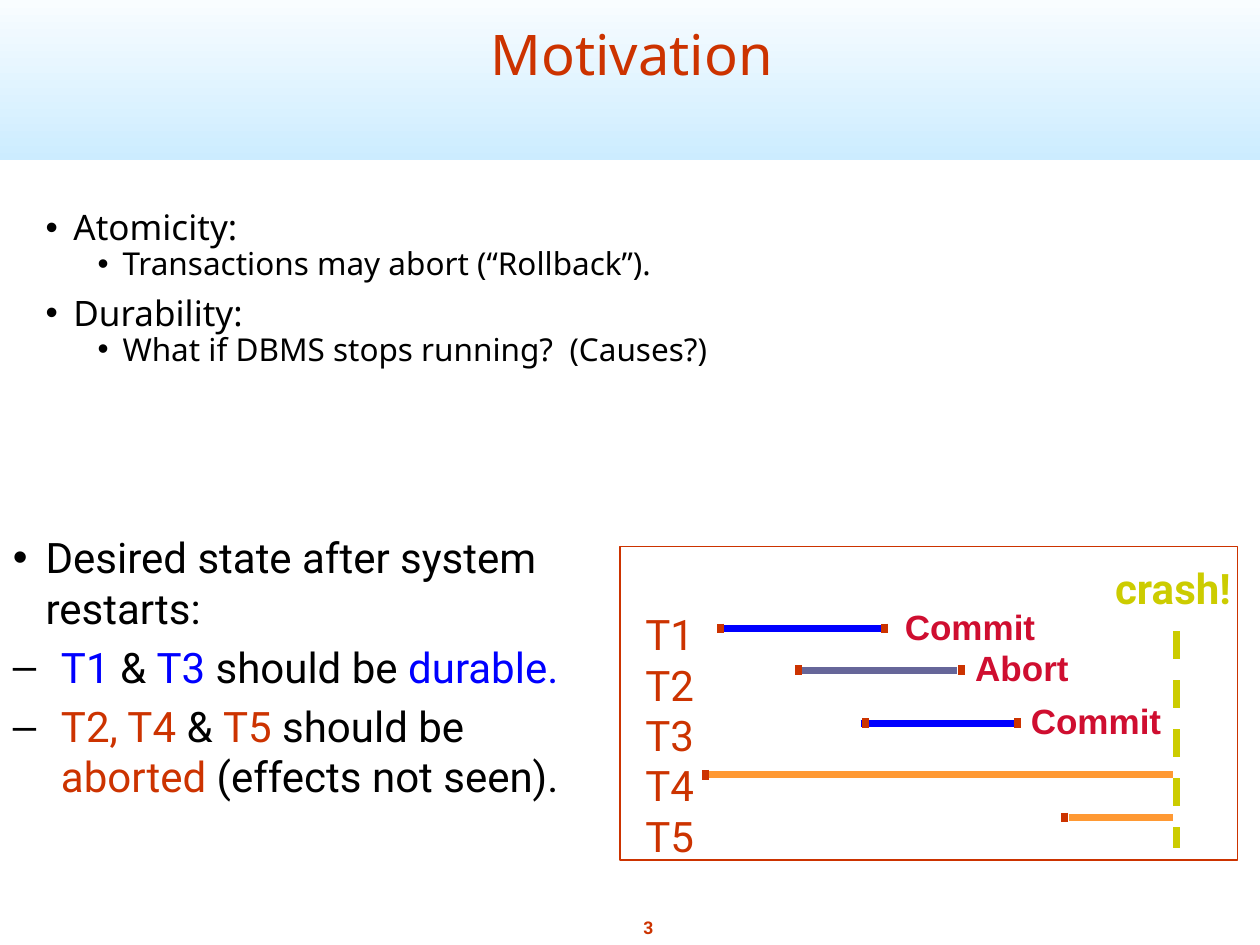
from lxml import etree
from pptx import Presentation
from pptx import util as u
from pptx.dml.color import RGBColor
from pptx.enum import dml, shapes, text
from pptx.oxml.ns import qn

RUST, BLUE, BLACK, YELLOW = "CC3300", "0000FF", "000000", "CCCC00"
ORANGE, SLATE, CRIMSON = "FF9933", "666699", "CF0E30"


def color(value):
    """Turn a hex string into a colour."""
    return RGBColor.from_string(value)


def set_bullet(para, mark, left, hang):
    """Give a paragraph a bullet character and a hanging indent in cm."""
    props = para._p.get_or_add_pPr()
    props.set("marL", str(u.Cm(left)))
    props.set("indent", str(-u.Cm(hang)))
    tint = etree.SubElement(etree.SubElement(props, qn("a:buClr")), qn("a:srgbClr"))
    tint.set("val", BLACK)
    etree.SubElement(props, qn("a:buFont")).set("typeface", "Arial")
    etree.SubElement(props, qn("a:buChar")).set("char", mark)


class Slide:
    """Holds the style and the current page."""

    font = "Roboto"
    heading_font = "Noto Sans"
    inset = 0.13

    def __init__(self, deck):
        """Add a title and content page to the deck."""
        self.page = deck.slides.add_slide(deck.slide_layouts[1])

    def place(self, box, left, top, width, height):
        """Move and size a box."""
        box.left, box.top = u.Cm(left), u.Cm(top)
        box.width, box.height = u.Cm(width), u.Cm(height)

    def frame(self, box, wrap=True, anchor=text.MSO_ANCHOR.TOP):
        """Prepare the text frame of a box."""
        frame = box.text_frame
        frame.auto_size = text.MSO_AUTO_SIZE.NONE
        frame.word_wrap = wrap
        frame.vertical_anchor = anchor
        frame.margin_left = frame.margin_right = u.Cm(self.inset)
        frame.margin_top = frame.margin_bottom = u.Cm(self.inset)
        return frame

    def para(self, frame, spans, size, font=None, bold=False, before=0,
             align=text.PP_ALIGN.LEFT):
        """Write one paragraph from (words, colour) spans."""
        first = frame.paragraphs[0]
        para = frame.add_paragraph() if first.runs else first
        para.alignment = align
        para.space_before = u.Pt(before)
        for words, tint in spans:
            span = para.add_run()
            span.text = words
            span.font.size, span.font.bold = u.Pt(size), bold
            span.font.name = font or self.font
            span.font.color.rgb = color(tint)
        return para

    def title(self, words, *place):
        """Fill the title placeholder."""
        box = self.page.shapes.title
        self.place(box, *place)
        frame = self.frame(box, anchor=text.MSO_ANCHOR.BOTTOM)
        self.para(frame, [(words, RUST)], 32, self.heading_font,
                  align=text.PP_ALIGN.CENTER)

    def body(self, items, *place):
        """Fill the body placeholder with (level, words) items."""
        box = self.page.placeholders[1]
        self.place(box, *place)
        frame = self.frame(box)
        for level, words in items:
            size, before, left, hang = [(20, 8, 0.56, 0.56), (18, 0, 1.55, 0.5)][level]
            para = self.para(frame, [(words, BLACK)], size, self.heading_font, before=before)
            para.level = level
            para.line_spacing = 0.9
            set_bullet(para, "•", left, hang)

    def text_box(self, place, wrap=False):
        """Add an empty text box and return its frame."""
        box = self.page.shapes.add_textbox(*map(u.Cm, place))
        return self.frame(box, wrap)

    def label(self, words, tint, size, place, **style):
        """Add a bold one-line label."""
        self.para(self.text_box(place), [(words, tint)], size, bold=True, **style)

    def line(self, x1, y1, x2, y2, tint, dash=None):
        """Add a thick straight line."""
        line = self.page.shapes.add_connector(
            shapes.MSO_CONNECTOR.STRAIGHT, *map(u.Cm, (x1, y1, x2, y2)))
        line.line.color.rgb = color(tint)
        line.line.width = u.Pt(4)
        if dash:
            line.line.dash_style = dash
        etree.SubElement(line._element.spPr, qn("a:effectLst"))

    def rectangle(self, *place):
        """Add a plain rectangle without fill."""
        box = self.page.shapes.add_shape(shapes.MSO_SHAPE.RECTANGLE, *map(u.Cm, place))
        box.shadow.inherit = False
        box.fill.background()
        return box

    def band(self, bottom, top, *place):
        """Add a gradient band behind everything else."""
        box = self.rectangle(*place)
        box.line.fill.background()
        box.fill.gradient()
        box.fill.gradient_angle = 90
        for stop, tint in zip(box.fill.gradient_stops, (bottom, top)):
            stop.color.rgb = color(tint)
        self.page.shapes._spTree.insert(2, box._element)

    def outline(self, tint, *place):
        """Add a thin frame."""
        box = self.rectangle(*place)
        box.line.color.rgb = color(tint)
        box.line.width = u.Pt(1)


def main():
    """Build the slide and save it."""
    deck = Presentation()
    deck.slide_width, deck.slide_height = u.Cm(25.4), u.Cm(19.05)
    slide = Slide(deck)
    slide.band("CCECFF", "FFFFFF", 0, -0.43, 25.4, 3.66)
    slide.label("3", RUST, 10, (12.83, 18.36, 0.48, 0.69), before=6,
                align=text.PP_ALIGN.CENTER)
    slide.title("Motivation", 1.52, 0.18, 22.43, 1.7)
    slide.body([(0, "Atomicity: "),
                (1, "Transactions may abort (“Rollback”)."),
                (0, "Durability:"),
                (1, "What if DBMS stops running?  (Causes?)")],
               0.79, 4.11, 19.05, 5.72)
    slide.label("crash!", YELLOW, 24, (22.35, 11.2, 2.82, 1.27))

    goals = [
        ("•", 0.66, [("Desired state after system restarts:", BLACK)]),
        ("–", 0.97, [("T1", BLUE), (" & ", BLACK), ("T3", BLUE),
                     (" should be ", BLACK), ("durable.", BLUE)]),
        ("–", 0.97, [("T2, T4 ", RUST), ("& ", BLACK), ("T5 ", RUST),
                     ("should be ", BLACK), ("aborted ", RUST),
                     ("(effects not seen).", BLACK)]),
    ]
    frame = slide.text_box((0.13, 10.59, 12.24, 5.77), wrap=True)
    for mark, indent, spans in goals:
        set_bullet(slide.para(frame, spans, 24, before=5), mark, indent, indent)

    names = slide.text_box((12.88, 12.14, 1.27, 5.36))
    for number in range(1, 6):
        slide.para(names, [(f"T{number}", RUST)], 24)

    # Each transaction: height, start, end, colour, end marks
    transactions = [
        (12.67, 14.6, 17.75, BLUE, (14.53, 17.83)),
        (13.51, 16.15, 19.3, SLATE, (16.1, 19.38)),
        (14.58, 17.35, 20.5, BLUE, (17.45, 20.52)),
        (15.62, 14.22, 23.65, ORANGE, (14.22,)),
        (16.48, 21.54, 23.65, ORANGE, (21.46,)),
    ]
    for y, start, end, tint, _ in transactions:
        slide.line(start, y, end, y, tint)
    slide.line(23.72, 12.73, 23.72, 17.09, YELLOW, dml.MSO_LINE.DASH)
    for y, _, _, _, marks in transactions:
        for x in marks:
            slide.line(x, y - 0.1, x, y + 0.1, RUST)
    slide.outline(RUST, 12.5, 11.02, 12.45, 6.32)

    for words, left, top, width in [("Abort", 19.53, 12.9, 2.16),
                                    ("Commit", 18.11, 12.07, 2.92),
                                    ("Commit", 20.65, 13.97, 2.92)]:
        slide.label(words, CRIMSON, 20, (left, top, width, 1.04), font="Arial")
    deck.save("out.pptx")


main()
